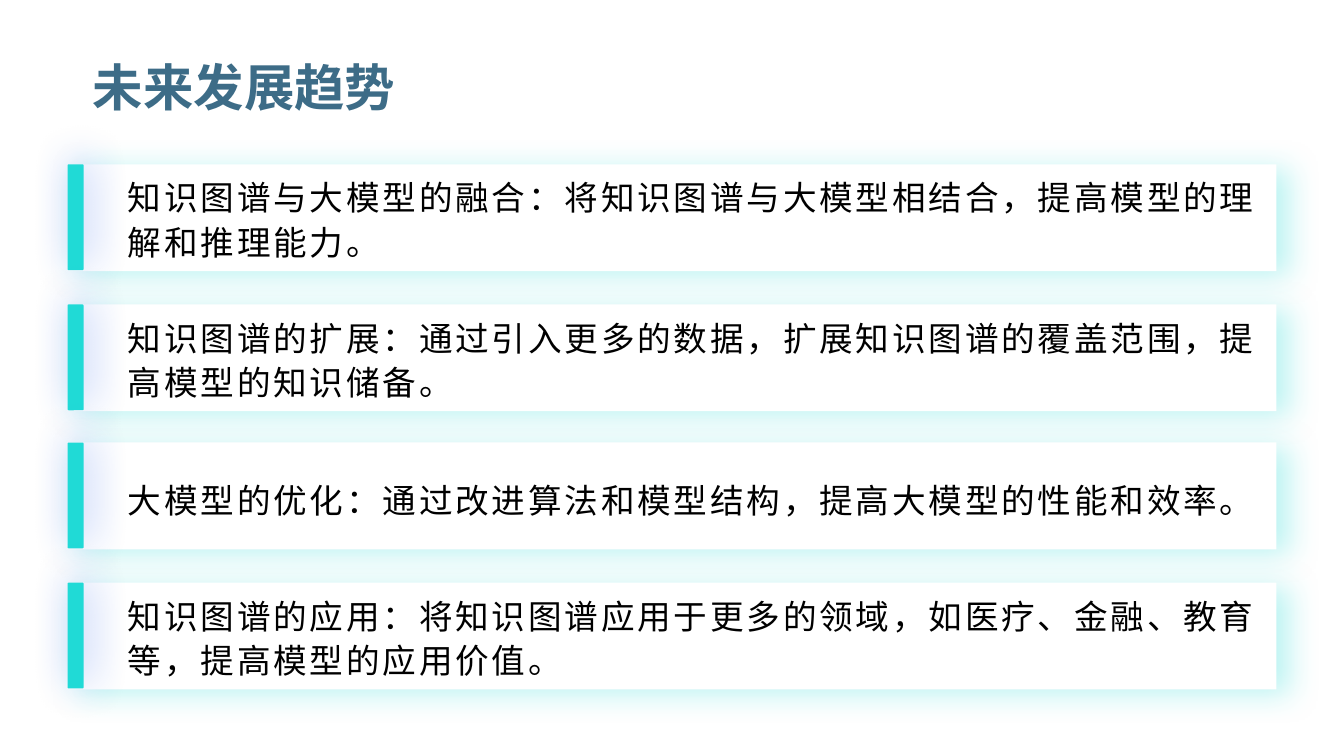
from pptx import Presentation
from pptx.dml.color import RGBColor
from pptx.enum.shapes import MSO_SHAPE
from pptx.enum.text import MSO_ANCHOR, PP_ALIGN
from pptx.oxml.ns import qn
from pptx.util import Inches, Pt
from lxml import etree

ROUNDED = MSO_SHAPE.ROUNDED_RECTANGLE
MIDDLE = MSO_ANCHOR.MIDDLE
LEFT = PP_ALIGN.LEFT
COLORS = {"title": "3D6C87", "card": "FFFFFF", "accent": "20DAD6", "glow": "4575F0", "text": "000000"}
CJK_FONT = "Noto Sans CJK SC"

TRENDS = [
    (1.63, 1.1, 0, "知识图谱与大模型的融合：将知识图谱与大模型相结合，提高模型的理解和推理能力。"),
    (3.02, 1.1, 0.1, "知识图谱的扩展：通过引入更多的数据，扩展知识图谱的覆盖范围，提高模型的知识储备。"),
    (4.39, 1.2, 0, "大模型的优化：通过改进算法和模型结构，提高大模型的性能和效率。"),
    (5.78, 1.1, 0.1, "知识图谱的应用：将知识图谱应用于更多的领域，如医疗、金融、教育等，提高模型的应用价值。"),
]


def add_panel(position, radius, fill, glow, alpha, blur, distance, angle):
    panel = page.shapes.add_shape(ROUNDED, *[Inches(value) for value in position])
    panel.adjustments[0] = radius
    panel.fill.solid()
    panel.fill.fore_color.rgb = RGBColor.from_string(COLORS[fill])
    panel.line.fill.background()
    panel.shadow.inherit = False
    effects = panel._element.spPr.find(qn("a:effectLst"))
    shadow = etree.SubElement(effects, qn("a:outerShdw"), blurRad=str(Pt(blur)),
                              dist=str(Pt(distance)), dir=str(angle * 60000),
                              algn="ctr", rotWithShape="0")
    color = etree.SubElement(shadow, qn("a:srgbClr"), val=COLORS[glow])
    etree.SubElement(color, qn("a:alpha"), val=str(alpha * 1000))


def write_text(frame, text, font, size, color, bold, spacing):
    frame.word_wrap = True
    frame.vertical_anchor = MIDDLE
    para = frame.paragraphs[0]
    para.alignment = LEFT
    para.font.name = font
    para.font.size = Pt(size)
    para.font.bold = bold
    para.font.color.rgb = RGBColor.from_string(COLORS[color])
    span = para.add_run()
    span.text = text
    properties = span._r.get_or_add_rPr()
    properties.set("spc", str(spacing * 100))
    etree.SubElement(properties, qn("a:ea"), typeface=CJK_FONT)
    return para


deck = Presentation()
deck.slide_width = Inches(13.33)
deck.slide_height = Inches(7.5)
page = deck.slides.add_slide(deck.slide_layouts[5])

title = page.shapes.title
title.left, title.top = Inches(0.92), Inches(0.39)
title.width, title.height = Inches(11.5), Inches(0.94)
frame = title.text_frame
frame.margin_left = frame.margin_right = frame.margin_top = frame.margin_bottom = 0
write_text(frame, "未来发展趋势", "Arial", 36, "title", True, 0)

for top, line_spacing, right_margin, text in TRENDS:
    add_panel((0.67, top, 11.99, 1.06), 0, "card", "accent", 30, 22, 9, 17)
    add_panel((0.67, top, 0.16, 1.05), 0.08, "accent", "glow", 45, 30, 5, 315)

for top, line_spacing, right_margin, text in TRENDS:
    box = page.shapes.add_textbox(Inches(1.17), Inches(top), Inches(11.48), Inches(1.06))
    box.text_frame.margin_right = Inches(right_margin)
    para = write_text(box.text_frame, text, CJK_FONT, 24, "text", False, 2)
    para.line_spacing = line_spacing

deck.save("out.pptx")
